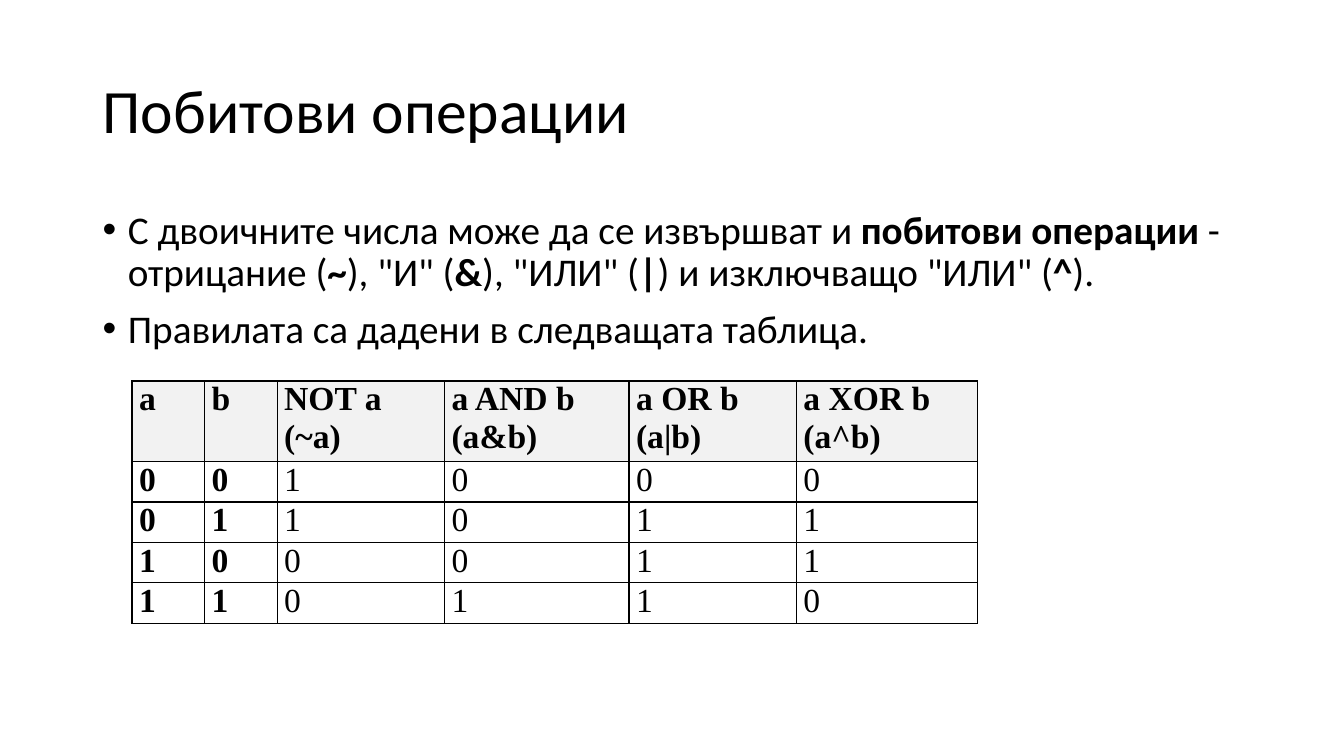
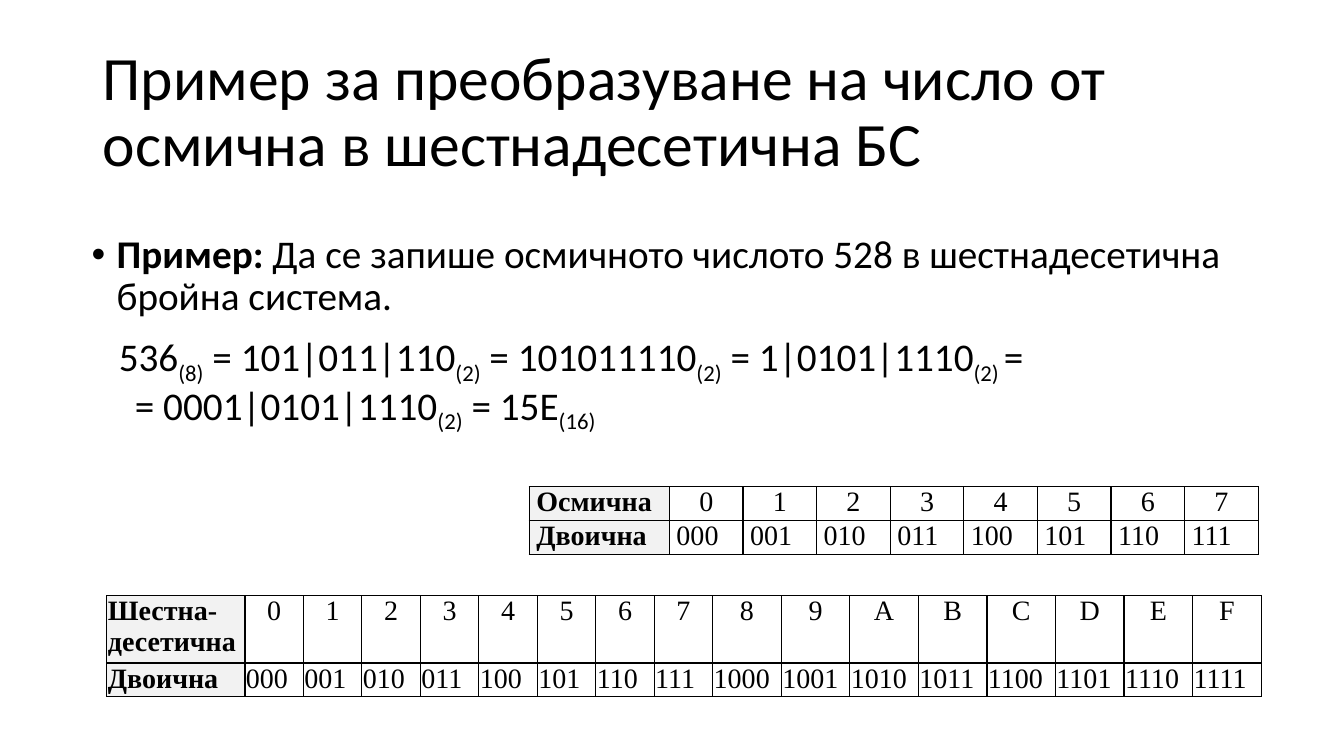
"""Builds two slides on bitwise operations and on changing number bases."""
from lxml.etree import SubElement
from pptx import Presentation
from pptx.dml.color import RGBColor
from pptx.enum.text import MSO_ANCHOR as Anchor, PP_ALIGN as Align
from pptx.oxml.ns import qn
from pptx.util import Inches, Pt

BLACK = RGBColor(0x00, 0x00, 0x00)
GREY = RGBColor(0xF2, 0xF2, 0xF2)
SANS = "Calibri"
SERIF = "Times New Roman"
TITLE = (0.92, 0.4, 11.5, 1.45)


def write(slide, box, size, lines, anchor=Anchor.TOP):
    """Each line is (text, left, hang, space); *...* is bold, _..._ is subscript."""
    frame = slide.shapes.add_textbox(*map(Inches, box)).text_frame
    frame.word_wrap = True
    frame.vertical_anchor = anchor
    for i, (text, left, hang, space) in enumerate(lines):
        para = frame.paragraphs[0] if i == 0 else frame.add_paragraph()
        para.line_spacing = 0.9
        para.space_before = Pt(space)
        font = para.font
        font.name, font.size, font.color.rgb = SANS, Pt(size), BLACK
        props = para._p.get_or_add_pPr()
        props.set("marL", str(Inches(left)))
        props.set("indent", str(Inches(-hang)))
        if hang:
            bullet = SubElement(props, qn("a:buChar"), char="•")
            face = SubElement(props, qn("a:buFont"), typeface="Arial")
            bullet.addprevious(face)
            props.append(props.find(qn("a:defRPr")))
        for j, part in enumerate(text.split("*")):
            for k, piece in enumerate(part.split("_")):
                if piece:
                    run = para.add_run()
                    run.text = piece
                    if j % 2:
                        run.font.bold = True
                    if k % 2:
                        run._r.get_or_add_rPr().set("baseline", "-25000")


def grid(slide, spot, cols, rows, size, pad, top=False):
    """Shades the top row, or else the first column."""
    step = 0.37 if size == 24 else 0.31
    tall = [step * max(text.count("\n") + 1 for text in row) for row in rows]
    box = (*spot, sum(cols), sum(tall))
    table = slide.shapes.add_table(len(rows), len(cols), *map(Inches, box)).table
    table.first_row = table.horz_banding = False
    for col, width in zip(table.columns, cols):
        col.width = Inches(width)
    for r, row in enumerate(rows):
        table.rows[r].height = Inches(tall[r])
        for c, text in enumerate(row):
            cell = table.cell(r, c)
            cell.margin_left = cell.margin_right = Inches(pad)
            cell.margin_top = cell.margin_bottom = 0
            props = cell._tc.get_or_add_tcPr()
            for side in "LRTB":
                line = SubElement(props, qn("a:ln" + side), w=str(Pt(1)))
                fill = SubElement(line, qn("a:solidFill"))
                SubElement(fill, qn("a:srgbClr"), val=str(BLACK))
            if (r if top else c) == 0:
                cell.fill.solid()
                cell.fill.fore_color.rgb = GREY
            else:
                cell.fill.background()
            cell.text_frame.text = text
            for para in cell.text_frame.paragraphs:
                mid = not top and r == 0 and c > 0
                para.alignment = Align.CENTER if mid else Align.JUSTIFY
                font = para.font
                font.name, font.size, font.color.rgb = SERIF, Pt(size), BLACK
                font.bold = r == 0 or c < 2 if top else c == 0


deck = Presentation()
deck.slide_width, deck.slide_height = Inches(13.33), Inches(7.5)
blank = deck.slide_layouts[6]
heads = ["Побитови операции",
         "Пример за преобразуване на число от осмична в шестнадесетична БС"]
bits, bases = [deck.slides.add_slide(blank) for head in heads]
for slide, head in zip((bits, bases), heads):
    write(slide, TITLE, 44, [(head, 0, 0, 0)], Anchor.MIDDLE)

write(bits, (0.92, 2.04, 11.5, 1.83), 28, [
    ('С двоичните числа може да се извършват и *побитови операции* - отрицание '
     '(*~*), "И" (*&*), "ИЛИ" (*|*) и изключващо "ИЛИ" (*^*).', 0.25, 0.25, 10),
    ("Правилата са дадени в следващата таблица.", 0.25, 0.25, 10)])
truth = [["a", "b", "NOT a\n(~a)", "a AND b\n(a&b)", "a OR b\n(a|b)", "a XOR b\n(a^b)"]]
for a in (0, 1):
    for b in (0, 1):
        truth.append([str(n) for n in (a, b, 1 - a, a & b, a | b, a ^ b)])
grid(bits, (1.31, 3.78), [0.72, 0.72, 1.66, 1.83, 1.66, 1.8], truth, 24, 0.07, top=True)

write(bases, (0.81, 2.28, 11.93, 2.24), 28, [
    ("*Пример:* Да се запише осмичното числото 528 в шестнадесетична бройна система.",
     0.25, 0.25, 10),
    ("536_(8)_ = 101|011|110_(2)_ = 101011110_(2)_ = 1|0101|1110_(2) _=", 0.27, 0, 10),
    ("= 0001|0101|1110_(2)_ = 15E_(16)_", 0.43, 0, 0)])
codes = [("Шестна-\nдесетична", 16, (1.06, 5.91), [1.37] + [0.58] * 8 + [0.68] * 8, 0.01),
         ("Осмична", 8, (5.25, 4.83), [1.39] + [0.73] * 8, 0.07)]
for name, base, spot, cols, pad in codes:
    rows = [[name] + [f"{n:X}" for n in range(base)],
            ["Двоична"] + [f"{n:03b}" for n in range(base)]]
    grid(bases, spot, cols, rows, 20, pad)

deck.save("out.pptx")
